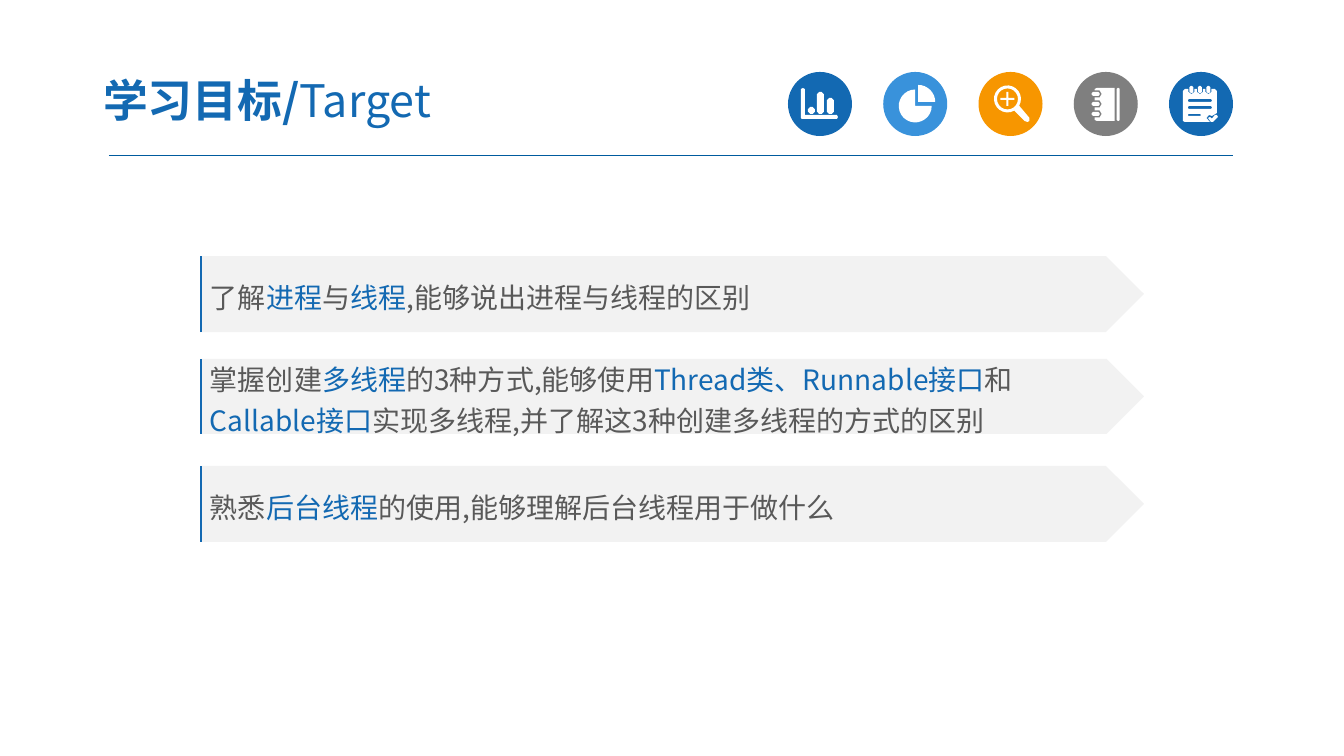
from math import cos, radians, sin

from lxml import etree
from pptx import Presentation
from pptx import util as u
from pptx.dml.color import RGBColor
from pptx.enum import shapes, text
from pptx.oxml.ns import qn

PX = 914400 / 100.8
FONT = "Noto Sans CJK SC"
COLORS = {"blue": "1369B2", "sky": "3992DB", "orange": "F79600",
          "grey": "7F7F7F", "white": "FFFFFF", "rule": "005B9E",
          "panel": "F2F2F2", "body": "595959"}

# Goals: top and height of the row, then runs as (wording, colour)
GOALS = [
    (359, 75, [("掌握创建", "body"), ("多线程", "blue"),
               ("的3种方式,能够使用", "body"),
               ("Thread类、Runnable接口", "blue"), ("和", "body"),
               ("Callable接口", "blue"),
               ("实现多线程,并了解这3种创建多线程的方式的区别", "body")]),
    (466, 76, [("熟悉", "body"), ("后台线程", "blue"),
               ("的使用,能够理解后台线程用于做什么", "body")]),
    (256, 76, [("了解", "body"), ("进程", "blue"), ("与", "body"),
               ("线程", "blue"), (",能够说出进程与线程的区别", "body")]),
]


def px(*lengths):
    return [u.Emu(round(length * PX)) for length in lengths]


def rgb(name):
    return RGBColor.from_string(COLORS[name])


# Outlines of icon parts, in px inside a 64 px disc
def bar(x, y, w, h):
    r = min(w, h) / 3
    return [(x + r, y), (x + w - r, y), (x + w, y + r), (x + w, y + h - r),
            (x + w - r, y + h), (x + r, y + h), (x, y + h - r), (x, y + r)]


def arc(x, y, radius, start, end, steps=20):
    angles = [radians(start + (end - start) * i / steps) for i in range(steps + 1)]
    return [(x + radius * cos(a), y + radius * sin(a)) for a in angles]


def chart_icon():
    axis = [(13, 17), (15, 16), (17, 17), (17, 43), (49, 43), (50, 45),
            (49, 47), (14, 47), (13, 46)]
    return [axis] + [bar(x, y, 7, 42 - y) for x, y in ((39, 26), (29, 20), (20, 35))]


def pie_icon():
    return [[(35, 30)] + arc(35, 30, 17, -90, 0, 8),
            [(32, 34)] + arc(32, 34, 16.5, 0, 270)]


def zoom_icon():
    lens = arc(29, 27, 13.5, 60, 390) + [(51, 46), (51, 49), (49, 50), (46, 49)]
    plus = [(28, 20), (30, 20), (30, 26), (36, 26), (36, 28), (30, 28),
            (30, 34), (28, 34), (28, 28), (22, 28), (22, 26), (28, 26)]
    return [lens, arc(29, 27, 10.5, 0, 360), plus]


def book_icon():
    rings = (22, 32, 42)
    cover = [(21, 17), (23, 16), (41, 16), (41, 49), (23, 49), (21, 48)]
    for y in reversed(rings):
        cover += [(21, y + 3.5), (26, y + 3.5), (28, y), (26, y - 3.5), (21, y - 3.5)]
    return [bar(43, 16, 3, 33), cover] + [bar(18, y - 2, 8, 4) for y in rings]


def note_icon():
    rings = (22.5, 31, 39.5)
    page = [(14, 19), (16, 17)]
    for x in rings:
        page += [(x - 3, 17), (x - 3, 20), (x, 22), (x + 3, 20), (x + 3, 17)]
    page += [(46, 17), (48, 19), (48, 41), (43, 44), (40, 43), (37.5, 46),
             (41, 50), (16, 50), (14, 49)]
    lines = [bar(19, 27, 24, 3), bar(19, 34, 24, 3), bar(19, 42, 13, 2)]
    tick = [(39, 46), (41, 45), (43, 46.5), (46, 43), (48, 43), (49, 45),
            (44, 50), (42, 50)]
    return [tick, page] + lines + [bar(x - 2, 14, 4, 7) for x in rings]


ICONS = [("blue", chart_icon), ("sky", pie_icon), ("orange", zoom_icon),
         ("grey", book_icon), ("blue", note_icon)]


def paint(shape, color):
    shape.shadow.inherit = False
    shape.fill.solid()
    shape.fill.fore_color.rgb = rgb(color)
    shape.line.fill.background()


def add_preset(parent, preset, box, color):
    shape = parent.shapes.add_shape(preset, *px(*box))
    paint(shape, color)
    return shape


def add_glyph(parent, left, top, outlines):
    tenths = [[(round(x * 10), round(y * 10)) for x, y in line] for line in outlines]
    pen = parent.shapes.build_freeform(*tenths[0][0], scale=PX / 10)
    for i, line in enumerate(tenths):
        if i:
            pen.move_to(*line[0])
        pen.add_line_segments(line[1:], close=True)
    paint(pen.convert_to_shape(*px(left, top)), "white")


def add_header_rule(slide, left, top, right):
    rule = slide.shapes.add_connector(shapes.MSO_CONNECTOR.STRAIGHT,
                                      *px(left, top, right, top))
    rule.line.color.rgb = rgb("rule")
    rule.line.width = u.Pt(0.75)
    etree.SubElement(rule._element.spPr, qn("a:effectLst"))


def add_runs(paragraph, runs, size, bold_first=False):
    paragraph.alignment = text.PP_ALIGN.LEFT
    for i, (wording, color) in enumerate(runs):
        run = paragraph.add_run()
        run.text = wording
        run.font.size = u.Pt(size)
        run.font.bold = bold_first and i == 0
        run.font.color.rgb = rgb(color)
        run.font.name = FONT
        etree.SubElement(run._r.get_or_add_rPr(), qn("a:ea"), typeface=FONT)


def add_heading(slide, left, top, width, height):
    title = slide.shapes.title
    title.left, title.top, title.width, title.height = px(left, top, width, height)
    frame = title.text_frame
    frame.word_wrap = True
    frame.auto_size = text.MSO_AUTO_SIZE.NONE
    frame.vertical_anchor = text.MSO_ANCHOR.MIDDLE
    frame.margin_left, frame.margin_right = px(13, 13)
    frame.margin_top, frame.margin_bottom = px(7, 7)
    add_runs(frame.paragraphs[0], [("学习目标/", "blue"), ("Target", "blue")],
             32, bold_first=True)


def add_icon_row(slide, left, top, width, size):
    step = (width - size) / (len(ICONS) - 1)
    for i, (color, outlines) in enumerate(ICONS):
        icon = slide.shapes.add_group_shape()
        disc_left = left + i * step
        add_preset(icon, shapes.MSO_SHAPE.OVAL, (disc_left, top, size, size), color)
        add_glyph(icon, disc_left, top, outlines())


def add_goal(slide, left, top, width, height, runs):
    goal = slide.shapes.add_group_shape()
    arrow = add_preset(goal, shapes.MSO_SHAPE.PENTAGON,
                       (left, top, width, height), "panel")
    frame = arrow.text_frame
    frame.word_wrap = True
    frame.vertical_anchor = text.MSO_ANCHOR.MIDDLE
    frame.paragraphs[0].line_spacing = 1.2
    add_runs(frame.paragraphs[0], runs, 20)

    # Open outline along the left side, in a frame 13 px wide
    pen = goal.shapes.build_freeform(0, height, scale=PX)
    pen.add_line_segments([(0, 0)], close=False)
    pen.move_to(13, 0)
    edge = pen.convert_to_shape(*px(left + 1, top))
    edge.shadow.inherit = False
    edge.fill.background()
    edge.line.color.rgb = rgb("blue")
    edge.line.width = u.Pt(1.5)


def main():
    deck = Presentation()
    deck.slide_width, deck.slide_height = px(1344, 756)
    slide = deck.slides.add_slide(deck.slide_layouts[5])

    # Header
    add_header_rule(slide, 109, 156, 1233)
    add_icon_row(slide, 788, 72, 445, 64)
    add_heading(slide, 90, 63, 526, 73)

    # Learning goals
    for top, height, runs in GOALS:
        add_goal(slide, 200, top, 944, height, runs)

    deck.save("out.pptx")


if __name__ == "__main__":
    main()
